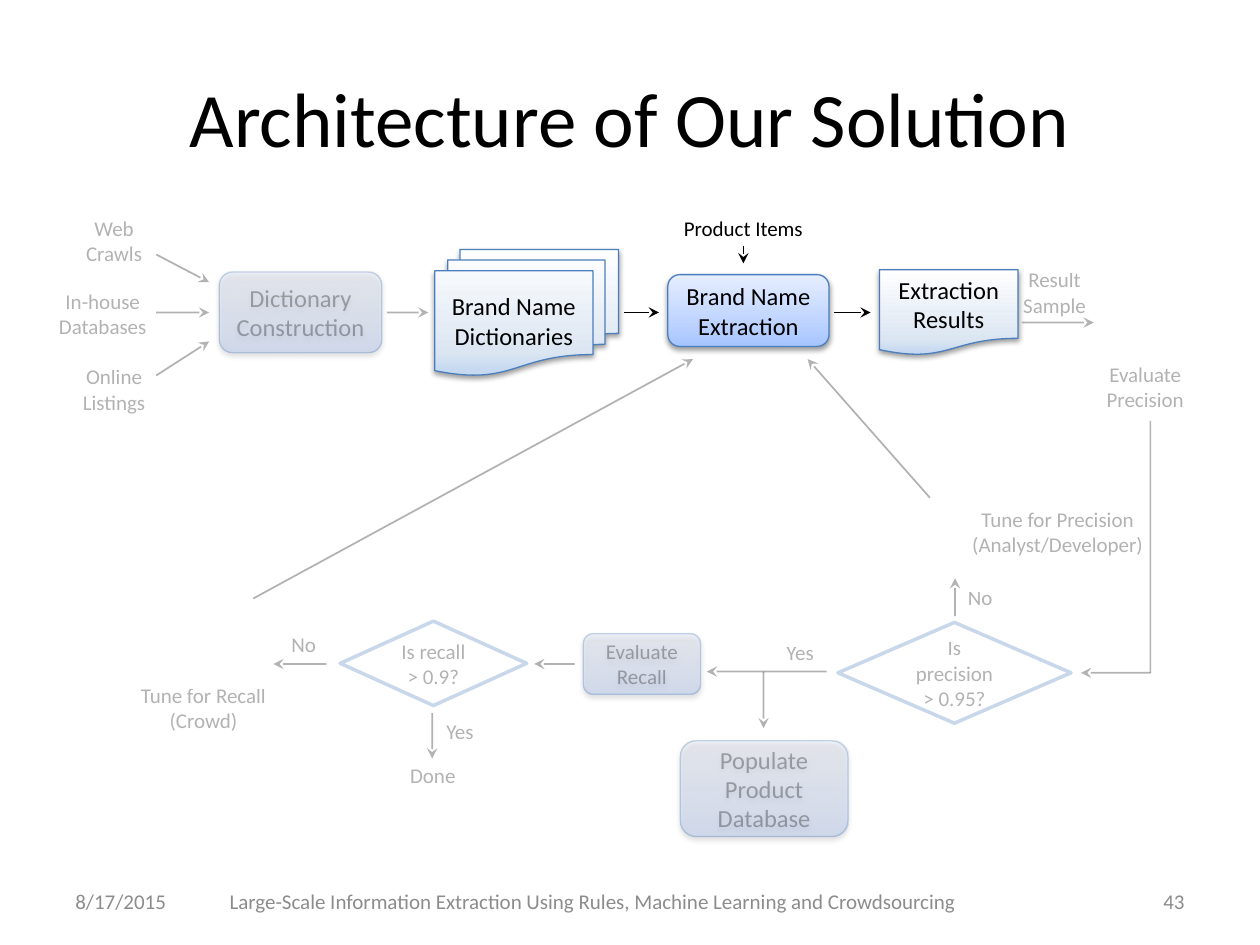
from pptx import Presentation
from pptx.util import Inches, Pt
from pptx.dml.color import RGBColor
from pptx.enum.shapes import MSO_SHAPE, MSO_CONNECTOR
from pptx.enum.text import PP_ALIGN, MSO_ANCHOR
from pptx.oxml import parse_xml
from pptx.oxml.ns import qn, nsdecls

BLACK = RGBColor(0x00, 0x00, 0x00)
WHITE = RGBColor(0xFF, 0xFF, 0xFF)
GRAY = RGBColor(0x8C, 0x8C, 0x8C)
BLUE = RGBColor(0x4B, 0x7E, 0xBC)
# Gradient stops run from the bottom edge to the top edge
BOX_STOPS = [(0, RGBColor(0xA4, 0xC4, 0xFF)), (35, RGBColor(0xBF, 0xD4, 0xFF)),
             (100, RGBColor(0xE6, 0xEE, 0xFF))]
DOC_STOPS = [(4, RGBColor(0xC6, 0xD9, 0xF1)), (19, RGBColor(0xDC, 0xE6, 0xF2)),
             (100, WHITE)]


def write(shape, text, size, color=BLACK, align=PP_ALIGN.CENTER):
    tf = shape.text_frame
    for i, line in enumerate(text.split("\n")):
        p = tf.paragraphs[0] if i == 0 else tf.add_paragraph()
        p.alignment = align
        r = p.add_run()
        r.text = line
        r.font.color.rgb = color
        for name, value in {"size": Pt(size), "name": "Calibri"}.items():
            setattr(r.font, name, value)
    return tf


def fade(shape):
    """Make every colour of a shape 30% opaque."""
    for clr in shape._element.iter(qn("a:srgbClr")):
        clr.append(parse_xml(f'<a:alpha {nsdecls("a")} val="30000"/>'))


prs = Presentation()
prs.slide_width, prs.slide_height = Inches(10), Inches(7.5)
s = prs.slides.add_slide(prs.slide_layouts[5])

# Title
title = s.shapes.title
title.left, title.top, title.width, title.height = map(Inches, (0.5, 0.3, 9, 1.25))
write(title, "Architecture of Our Solution", 44).vertical_anchor = MSO_ANCHOR.MIDDLE

# Footer
for text, x, w, align in [
    ("8/17/2015", 0.5, 1, PP_ALIGN.LEFT),
    ("Large-Scale Information Extraction Using Rules, Machine Learning and Crowdsourcing",
     1.58, 6.25, PP_ALIGN.CENTER),
    ("43", 7.92, 1.58, PP_ALIGN.RIGHT),
]:
    tb = s.shapes.add_textbox(Inches(x), Inches(6.95), Inches(w), Inches(0.4))
    tf = write(tb, text, 12, GRAY, align)
    tf.word_wrap, tf.vertical_anchor = True, MSO_ANCHOR.MIDDLE

# Process boxes, documents and decisions: kind, text, size, box, stops, faded
BOX, DIAMOND = MSO_SHAPE.ROUNDED_RECTANGLE, MSO_SHAPE.DIAMOND
for kind, text, size, box, stops, faded in [
    (BOX, "Dictionary Construction", 14, (1.74, 2.16, 1.29, 0.64), BOX_STOPS, True),
    (MSO_SHAPE.FLOWCHART_MULTIDOCUMENT, "Brand Name Dictionaries", 14,
     (3.45, 1.98, 1.46, 1), DOC_STOPS, False),
    (BOX, "Brand Name Extraction", 14, (5.3, 2.18, 1.28, 0.57), BOX_STOPS, False),
    (MSO_SHAPE.FLOWCHART_DOCUMENT, "Extraction Results", 14,
     (6.98, 2.14, 1.1, 0.68), DOC_STOPS, False),
    (DIAMOND, "Is precision > 0.95?", 12, (6.65, 4.94, 1.85, 0.8), None, True),
    (DIAMOND, "Is recall > 0.9?", 12, (2.7, 4.93, 1.48, 0.67), None, True),
    (BOX, "Evaluate Recall", 12, (4.63, 5.03, 0.93, 0.48), BOX_STOPS, True),
    (BOX, "Populate Product Database", 14, (5.4, 5.88, 1.33, 0.76), BOX_STOPS, True),
]:
    sp = s.shapes.add_shape(kind, *map(Inches, box))
    spPr = sp._element.spPr
    if stops:
        gs = "".join(f'<a:gs pos="{pos * 1000}"><a:srgbClr val="{c}"/></a:gs>'
                     for pos, c in stops)
        spPr.find(qn("a:prstGeom")).addnext(parse_xml(
            f'<a:gradFill {nsdecls("a")} rotWithShape="1"><a:gsLst>{gs}</a:gsLst>'
            '<a:lin ang="16200000" scaled="0"/></a:gradFill>'))
    else:
        sp.fill.solid()
        sp.fill.fore_color.rgb = WHITE
    sp.line.color.rgb = BLUE
    sp.line.width = Pt(0.75 if stops else 2)
    tf = write(sp, text, size)
    tf.word_wrap, tf.vertical_anchor = True, MSO_ANCHOR.MIDDLE
    if faded:
        fade(sp)
    sp.shadow.inherit = False
    if stops:
        spPr.find(qn("a:effectLst")).append(parse_xml(
            f'<a:outerShdw {nsdecls("a")} blurRad="{Pt(3.1)}" dist="{Pt(1.6)}" '
            'dir="5400000" rotWithShape="0"><a:srgbClr val="000000">'
            '<a:alpha val="38000"/></a:srgbClr></a:outerShdw>'))

# Labels: text, box, wrap, faded
for text, box, wrap, faded in [
    ("Web\nCrawls", (0.36, 1.66, 1.09, 0.5), True, True),
    ("In-house Databases", (0.27, 2.24, 1.09, 0.5), True, True),
    ("Online Listings", (0.36, 2.84, 1.09, 0.5), True, True),
    ("Product Items", (5.32, 1.66, 1.16, 0.3), False, False),
    ("Result\nSample", (8, 2.07, 0.74, 0.5), False, True),
    ("Evaluate\nPrecision", (8.66, 2.82, 0.86, 0.5), False, True),
    ("Tune for Precision\n(Analyst/Developer)", (7.61, 3.97, 1.57, 0.5), False, True),
    ("No", (7.58, 4.59, 0.4, 0.3), False, True),
    ("Yes", (6.14, 5.03, 0.42, 0.3), False, True),
    ("No", (2.21, 4.96, 0.4, 0.3), False, True),
    ("Yes", (3.44, 5.65, 0.42, 0.3), False, True),
    ("Done", (3.15, 6, 0.57, 0.3), False, True),
    ("Tune for Recall\n(Crowd)", (1.01, 5.37, 1.21, 0.5), False, True),
]:
    tb = s.shapes.add_textbox(*map(Inches, box))
    write(tb, text, 12).word_wrap = wrap
    if faded:
        fade(tb)

# Flow lines: end points, arrowhead, faded
for ends, arrow, faded in [
    ((1.24, 2.02, 1.66, 2.24), True, True),
    ((1.24, 2.48, 1.66, 2.48), True, True),
    ((1.24, 2.98, 1.66, 2.71), True, True),
    ((3.07, 2.48, 3.4, 2.48), True, True),
    ((4.95, 2.48, 5.23, 2.48), True, False),
    ((6.62, 2.48, 6.91, 2.48), True, False),
    ((5.9, 1.95, 5.9, 2.09), True, False),
    ((8.11, 2.56, 8.68, 2.56), True, True),
    ((9.13, 3.34, 9.13, 5.34), False, True),
    ((9.13, 5.34, 8.58, 5.34), True, True),
    ((7.58, 4.89, 7.58, 4.59), True, True),
    ((7.38, 3.95, 6.41, 2.85), True, True),
    ((6.56, 5.33, 6.06, 5.33), False, True),
    ((6.06, 5.33, 6.06, 5.78), True, True),
    ((6.06, 5.33, 5.61, 5.33), True, True),
    ((4.56, 5.27, 4.24, 5.27), True, True),
    ((2.59, 5.27, 2.17, 5.27), True, True),
    ((3.43, 5.66, 3.43, 6.02), True, True),
    ((2.01, 4.75, 5.5, 2.85), True, True),
]:
    cn = s.shapes.add_connector(MSO_CONNECTOR.STRAIGHT, *map(Inches, ends))
    cn.line.color.rgb = BLACK
    cn.line.width = Pt(1)
    if faded:
        fade(cn)
    spPr = cn._element.spPr
    if arrow:
        spPr.find(qn("a:ln")).append(parse_xml(f'<a:tailEnd {nsdecls("a")} type="stealth"/>'))
    spPr.append(parse_xml(f'<a:effectLst {nsdecls("a")}/>'))

prs.save("out.pptx")
